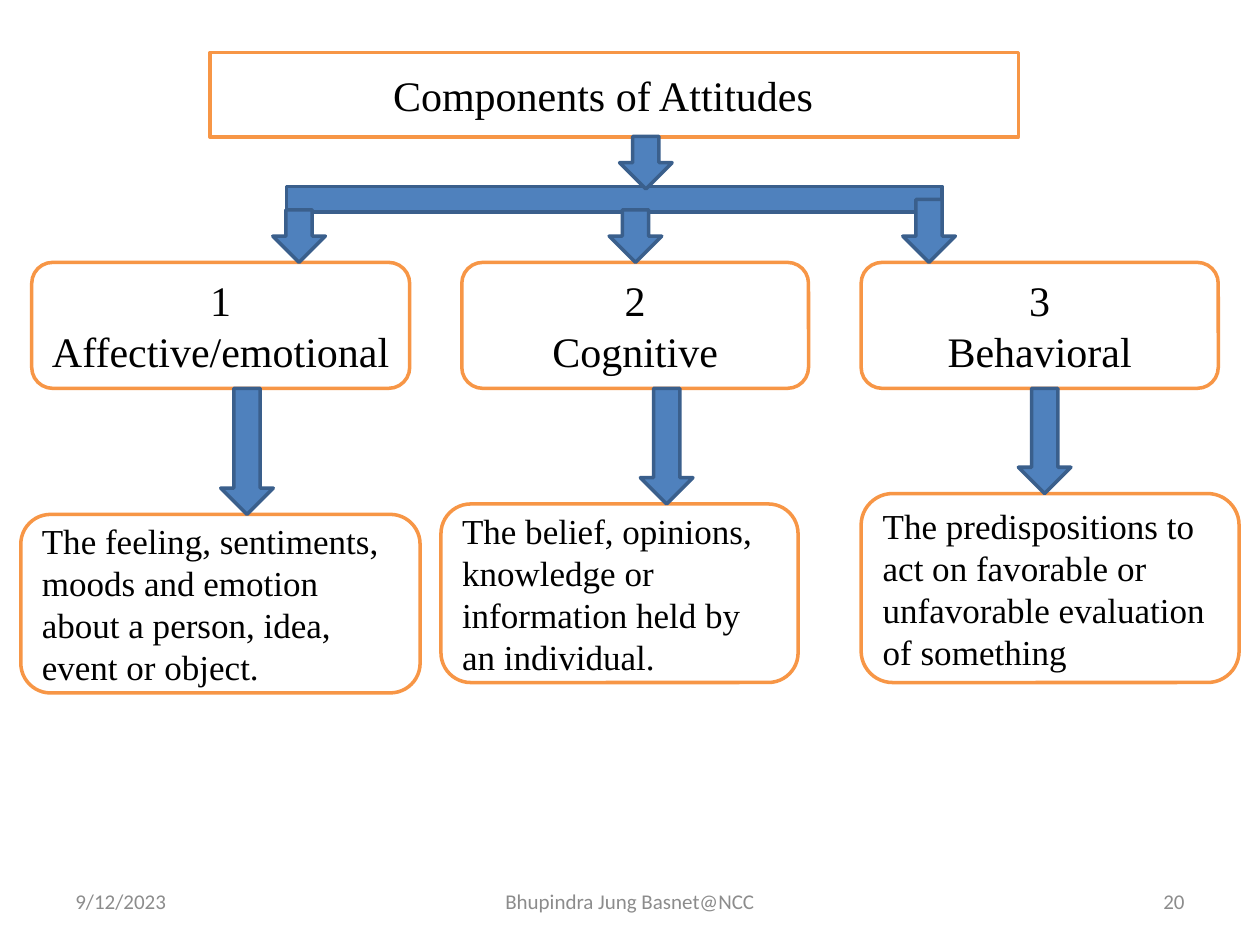
from pptx import Presentation
from pptx.dml.color import RGBColor
from pptx.enum.shapes import MSO_SHAPE
from pptx.enum.text import MSO_ANCHOR, MSO_AUTO_SIZE, PP_ALIGN
from pptx.oxml import parse_xml
from pptx.oxml.ns import nsdecls
from pptx.util import Cm, Pt

ROUNDED, ARROW, MINUS = MSO_SHAPE.ROUNDED_RECTANGLE, MSO_SHAPE.DOWN_ARROW, MSO_SHAPE.MATH_MINUS
LEFT, CENTER, RIGHT = PP_ALIGN.LEFT, PP_ALIGN.CENTER, PP_ALIGN.RIGHT
MIDDLE, NO_FIT = MSO_ANCHOR.MIDDLE, MSO_AUTO_SIZE.NONE

WHITE = RGBColor(0xFF, 0xFF, 0xFF)
BLACK = RGBColor(0x00, 0x00, 0x00)
ORANGE = RGBColor(0xF7, 0x96, 0x46)
BLUE = RGBColor(0x4F, 0x81, 0xBD)
DARK_BLUE = RGBColor(0x3A, 0x5F, 0x8C)
GREY = RGBColor(0x8C, 0x8C, 0x8C)
SERIF, SANS = "Times New Roman", "Calibri"


def paint(sp, fill, line):
    sp.shadow.inherit = False
    sp.fill.solid()
    sp.fill.fore_color.rgb = fill
    sp.line.color.rgb = line
    sp.line.width = Pt(2)


def write(sp, lines, size, align, font=SERIF, color=BLACK):
    tf = sp.text_frame
    tf.word_wrap = True
    tf.auto_size = NO_FIT
    tf.vertical_anchor = MIDDLE
    for i, line in enumerate(lines):
        p = tf.add_paragraph() if i else tf.paragraphs[0]
        p.alignment = align
        r = p.add_run()
        r.text = line
        r.font.size = Pt(size)
        r.font.name = font
        r.font.color.rgb = color


prs = Presentation()
prs.slide_width, prs.slide_height = Cm(25.4), Cm(19.05)
s = prs.slides.add_slide(prs.slide_layouts[5])
shapes = s.shapes

title = shapes.title
title.left, title.top, title.width, title.height = Cm(4.23), Cm(1.06), Cm(16.3), Cm(1.7)
title._element.spPr.append(parse_xml(
    '<a:prstGeom %s prst="roundRect"><a:avLst/></a:prstGeom>' % nsdecls("a")))
paint(title, WHITE, ORANGE)
write(title, ["Components of Attitudes"], 24, CENTER)
title.text_frame.margin_right = Cm(0.7)

bar = shapes.add_shape(MINUS, Cm(3.39), Cm(2.75), Cm(17.99), Cm(2.54))
bar.adjustments[0] = 0.204
paint(bar, BLUE, DARK_BLUE)

LABEL_TOP, LABEL_H, ARROW_W = 5.29, 2.54, 1.06
LABEL_BOTTOM = LABEL_TOP + LABEL_H
arrows = [(12.49, 2.75, 3.81)]

components = [
    ("Affective/emotional", (0.64, 7.62), (0.42, 10.37, 8.05, 3.6), (5.5, 4.23), 4.45,
     "The feeling, sentiments, moods and emotion about a person, idea, event or object."),
    ("Cognitive", (9.31, 6.99), (8.89, 10.16, 7.2, 3.6), (12.28, 4.23), 12.91,
     "The belief, opinions, knowledge or information held by an individual."),
    ("Behavioral", (17.36, 7.2), (17.36, 9.95, 7.62, 3.81), (18.2, 4.02), 20.53,
     "The predispositions to act on favorable or unfavorable evaluation of something"),
]
for number, (name, label, detail, arrow_in, out_left, text) in enumerate(components, 1):
    x, w = label
    sp = shapes.add_shape(ROUNDED, Cm(x), Cm(LABEL_TOP), Cm(w), Cm(LABEL_H))
    paint(sp, WHITE, ORANGE)
    write(sp, [str(number), name], 24, CENTER)

    sp = shapes.add_shape(ROUNDED, *[Cm(v) for v in detail])
    paint(sp, WHITE, ORANGE)
    write(sp, [text], 20, LEFT)

    arrows.append((*arrow_in, LABEL_TOP))
    arrows.append((out_left, LABEL_BOTTOM, detail[1]))

for x, top, bottom in arrows:
    sp = shapes.add_shape(ARROW, Cm(x), Cm(top), Cm(ARROW_W), Cm(bottom - top))
    paint(sp, BLUE, DARK_BLUE)

footers = [
    (1.27, 5.93, "9/12/2023", LEFT),
    (8.68, 8.04, "Bhupindra Jung Basnet@NCC", CENTER),
    (18.2, 5.93, "20", RIGHT),
]
for x, w, text, align in footers:
    sp = shapes.add_textbox(Cm(x), Cm(17.66), Cm(w), Cm(1.01))
    write(sp, [text], 12, align, SANS, GREY)

prs.save("out.pptx")
